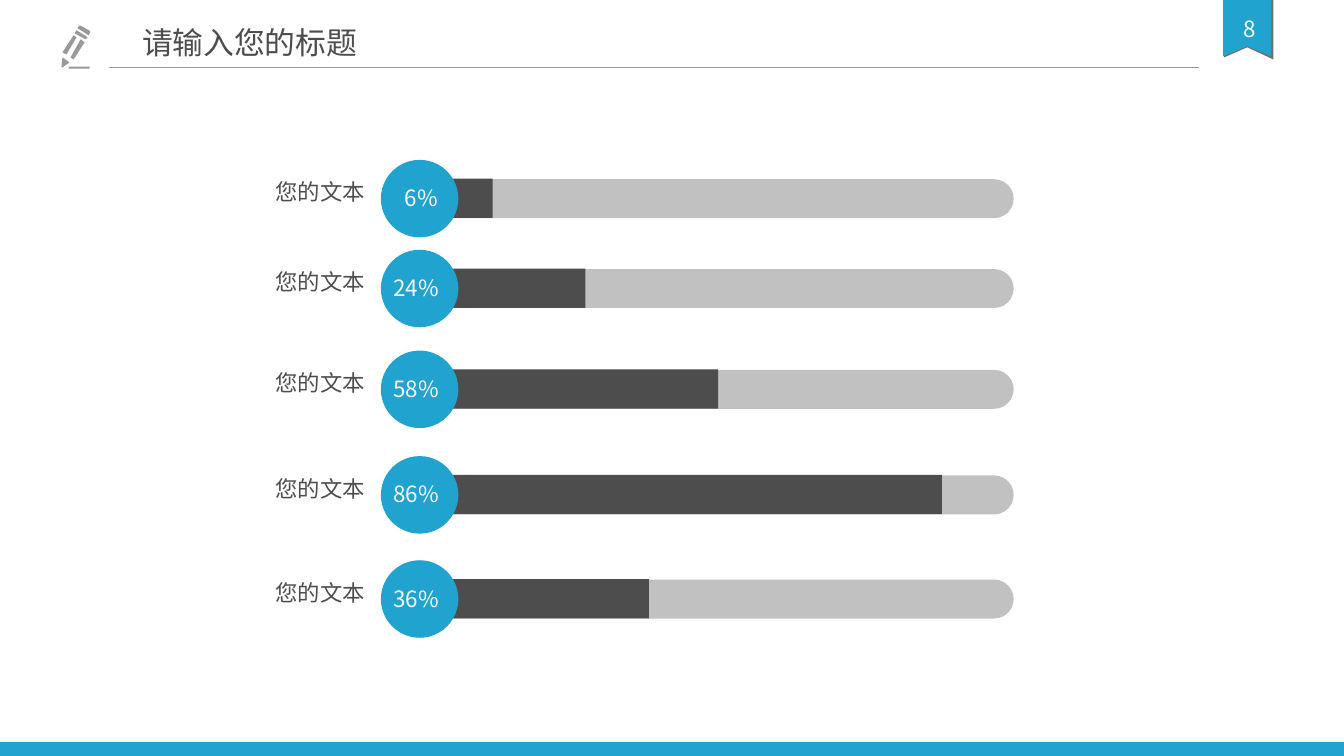
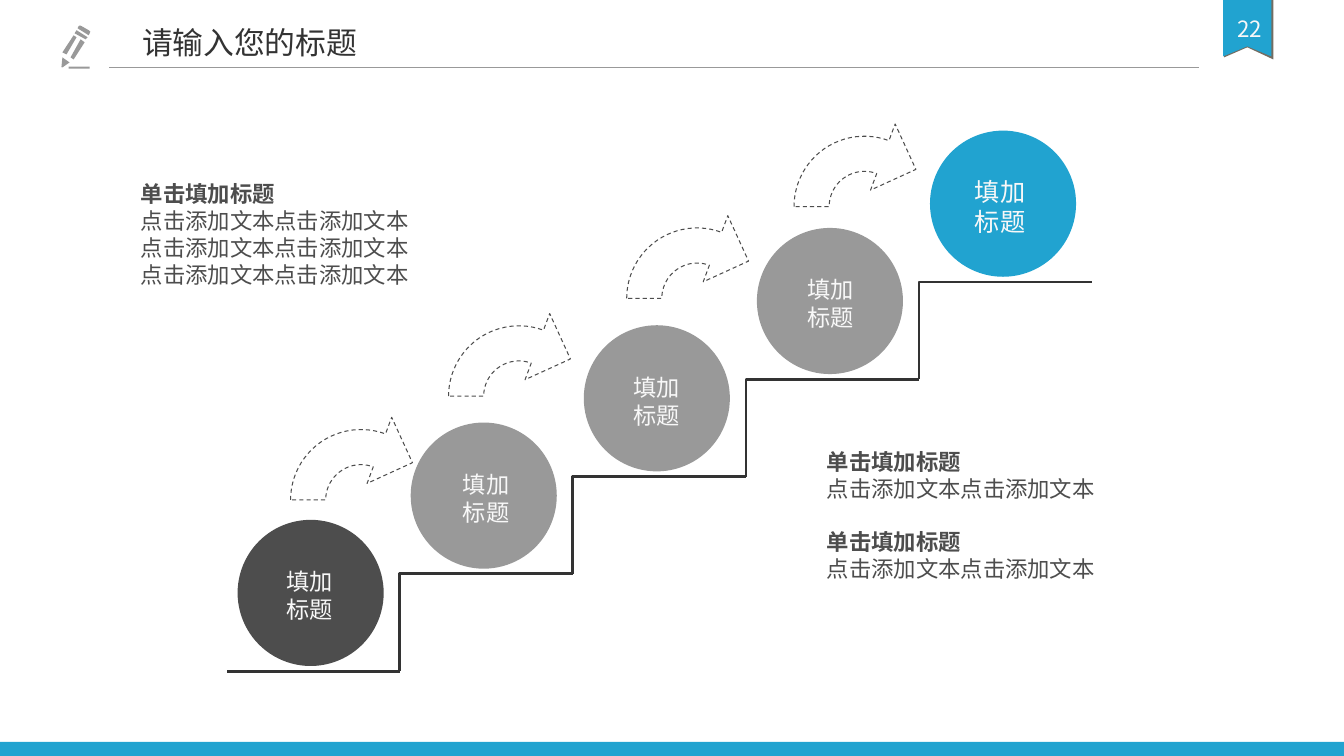
"""Builds a progress-bar slide and a staircase slide with a shared header and footer."""
from math import cos, radians, sin

from lxml.etree import SubElement
from pptx import Presentation
from pptx.dml.color import RGBColor
from pptx.enum.dml import MSO_LINE
from pptx.enum.shapes import MSO_CONNECTOR, MSO_SHAPE as SHAPE
from pptx.enum.text import MSO_ANCHOR as ANCHOR, MSO_AUTO_SIZE, PP_ALIGN as ALIGN
from pptx.oxml.ns import qn
from pptx.util import Pt

BLUE = RGBColor(0x21, 0xA3, 0xD0)
DARK = RGBColor(0x4D, 0x4D, 0x4D)
INK = RGBColor(0x33, 0x33, 0x33)
GRAY = RGBColor(0x99, 0x99, 0x99)
TRACK = RGBColor(0xC2, 0xC1, 0xC1)
FOLD = RGBColor(0x74, 0x6D, 0x62)
PALE = RGBColor(0xF8, 0xF8, 0xF8)
CJK_FONT = "Noto Sans CJK SC"
LATIN_FONT = "Arial"
WIDTH, HEIGHT = 960.5, 540
LINE_PITCH = 1.2

TITLE = "请输入您的标题"
RIBBON_FOLD = [(910.1, 42.5), (891.4, 33.8), (874.8, 41), (874.8, 0), (910.1, 0)]
RIBBON = [(908.6, 40.3), (891.4, 33.1), (874.1, 40.3), (874.1, 0), (908.6, 0)]
PENCIL = [
    [(49, 47.5), (64, 47.5), (64, 49), (49, 49)],
    [(50.4, 41), (57.6, 28.1), (60.5, 30.2), (52.6, 42.5)],
    [(44.6, 37.4), (52.6, 25.2), (54.7, 26.6), (47.5, 38.9)],
    [(43.9, 47.9), (44.6, 41), (49.7, 44.6), (44.6, 48.2)],
    [(54.7, 21.6), (53.3, 23.8), (61.2, 28.1), (62.6, 26.6)],
    [(56.2, 18.7), (57.2, 18.2), (58.3, 18.7), (63.4, 21.6),
     (64.5, 22.7), (64.1, 23.8), (63.4, 25.2), (55.4, 20.2)],
]

BAR_LABEL = "您的文本"
BARS = [
    ("6%", 141.9, 38.2, ALIGN.CENTER),
    ("24%", 206.1, 104.4, ALIGN.LEFT),
    ("58%", 278.1, 199.4, ALIGN.LEFT),
    ("86%", 353.5, 359.3, ALIGN.LEFT),
    ("36%", 427.9, 149.8, ALIGN.LEFT),
]

STEP_LABEL = ["填加", "标题"]
STEPS = [
    (DARK, 16.6, 195.1),
    (GRAY, 16.6, 321.1),
    (GRAY, 16.6, 442.8),
    (GRAY, 16.6, 567.4),
    (BLUE, 18, 688.5),
]
STEP_RUN, STEP_RISE = 123.7, 69.5
STAIR_LEFT, STAIR_BOTTOM = 162, 479.4
JUMPS = [(207.7, 357.1), (320.6, 283), (447.9, 213.1), (567.5, 147.6)]
HEADING = "单击填加标题"
BODY = "点击添加文本点击添加文本"
NOTES = [
    ((93.6, 125.3, 224, 84.2), [(HEADING, True, 0)] + [(BODY, False, 0)] * 3),
    ((583.9, 316.5, 295.2, 103.7), [(HEADING, True, 0), (BODY, False, 0),
                                  (HEADING, True, 19.2), (BODY, False, 0)]),
]


def style(paragraph, size, color, align=ALIGN.LEFT, bold=False, latin=CJK_FONT):
    paragraph.alignment = align
    paragraph.line_spacing = Pt(size * LINE_PITCH)
    font = paragraph.font
    font.size, font.bold, font.name = Pt(size), bold, latin
    font.color.rgb = color
    defaults = paragraph._p.pPr.find(qn("a:defRPr"))
    SubElement(defaults, qn("a:ea"), typeface=CJK_FONT)


def add_frame(slide, box, text):
    frame = slide.shapes.add_textbox(*map(Pt, box)).text_frame
    frame.word_wrap = True
    frame.text = text
    return frame


def add_text(slide, box, text, size, color, align=ALIGN.LEFT):
    style(add_frame(slide, box, text).paragraphs[0], size, color, align)


def paint(shape, fill=None):
    shape.shadow.inherit = False
    if fill is None:
        shape.fill.background()
    else:
        shape.fill.solid()
        shape.fill.fore_color.rgb = fill
    shape.line.fill.background()
    return shape


def add_block(slide, kind, box, fill):
    return paint(slide.shapes.add_shape(kind, *map(Pt, box)), fill)


def add_outline(slide, contours, fill=None, close=True):
    builder = None
    for contour in contours:
        start, *rest = [(Pt(x), Pt(y)) for x, y in contour]
        if builder is None:
            builder = slide.shapes.build_freeform(*start)
        else:
            builder.move_to(*start)
        builder.add_line_segments(rest, close=close)
    return paint(builder.convert_to_shape(), fill)


def draw_line(line, color, width):
    line.color.rgb = color
    line.width = Pt(width)


def add_rule(slide, ends, color, width):
    rule = slide.shapes.add_connector(MSO_CONNECTOR.STRAIGHT, *map(Pt, ends))
    draw_line(rule.line, color, width)
    SubElement(rule._element.spPr, qn("a:effectLst"))


def add_page(deck, number, title_color):
    slide = deck.slides.add_slide(deck.slide_layouts.get_by_name("Title Only"))
    add_outline(slide, [RIBBON_FOLD], FOLD)
    add_outline(slide, [RIBBON], BLUE)
    add_text(slide, (847.9, 7.2, 90.7, 30.2), number, 16, PALE, ALIGN.CENTER)
    add_block(slide, SHAPE.RECTANGLE, (0, 530, WIDTH, 10), BLUE)

    title = slide.shapes.title
    title.left, title.top, title.width, title.height = map(Pt, (94.3, 13.2, 180, 33.8))
    frame = title.text_frame
    frame.text = TITLE
    frame.word_wrap = True
    frame.auto_size = MSO_AUTO_SIZE.NONE
    frame.vertical_anchor = ANCHOR.TOP
    style(frame.paragraphs[0], 22, title_color)

    add_outline(slide, PENCIL, GRAY)
    add_rule(slide, (856.8, 48.5, 77.8, 48.5), GRAY, 0.75)
    return slide


def add_bar(slide, percent, middle, filled, align):
    track = add_block(slide, SHAPE.ROUNDED_RECTANGLE,
                      (301, middle - 13.9, 423.4, 27.8), TRACK)
    track.adjustments[0] = 0.5
    add_block(slide, SHAPE.RECTANGLE, (313.9, middle - 14.2, filled, 28), DARK)
    add_text(slide, (174.2, middle - 18, 93.6, 26.6), BAR_LABEL, 16, DARK, ALIGN.RIGHT)
    add_block(slide, SHAPE.OVAL, (272.2, middle - 27.7, 55.4, 55.4), BLUE)
    add_text(slide, (274, middle - 13.8, 54, 26.6), percent, 16, PALE, align)


def jump_outline(left, base):
    outer, inner, head_out, head_in, reach = 50.3, 25.2, 63, 12.6, 25.2
    end = 69.6
    center = left + outer

    def polar(radius, angle, ahead=0):
        turn = radians(angle)
        return (center + radius * cos(turn) + ahead * sin(turn),
                base - radius * sin(turn) + ahead * cos(turn))

    angles = [180 - (180 - end) * i / 24 for i in range(25)]
    head = [polar(head_out, end), polar((outer + inner) / 2, end, reach),
            polar(head_in, end)]
    return ([polar(outer, a) for a in angles] + head
            + [polar(inner, a) for a in reversed(angles)])


def add_step(slide, index, fill, size, label_left):
    top = 371.3 - index * STEP_RISE
    add_block(slide, SHAPE.OVAL, (169.8 + index * STEP_RUN, top, 104.4, 104.4), fill)
    frame = add_frame(slide, (label_left, top + 29.2, 52.6, 49.7), "\n".join(STEP_LABEL))
    frame.vertical_anchor = ANCHOR.MIDDLE
    for paragraph in frame.paragraphs:
        style(paragraph, size, PALE, ALIGN.CENTER, latin=LATIN_FONT)


def add_note(slide, box, lines):
    frame = add_frame(slide, box, "\n".join(text for text, _, _ in lines))
    for paragraph, (_, bold, gap) in zip(frame.paragraphs, lines):
        if gap:
            paragraph.space_before = Pt(gap)
        style(paragraph, 16, DARK, bold=bold)


def add_stairs(slide):
    for index in range(1, len(STEPS)):
        left = STAIR_LEFT + index * STEP_RUN
        top = STAIR_BOTTOM - index * STEP_RISE
        corner = [(left, top + STEP_RISE), (left, top), (left + STEP_RUN, top)]
        draw_line(add_outline(slide, [corner], close=False).line, INK, 2)
    add_rule(slide, (STAIR_LEFT + STEP_RUN, STAIR_BOTTOM, STAIR_LEFT, STAIR_BOTTOM), INK, 2)


def build_bars(deck):
    slide = add_page(deck, "8", DARK)
    for bar in BARS:
        add_bar(slide, *bar)


def build_stairs(deck):
    slide = add_page(deck, "22", INK)
    for note in NOTES:
        add_note(slide, *note)
    add_stairs(slide)
    for jump in JUMPS:
        arrow = add_outline(slide, [jump_outline(*jump)])
        draw_line(arrow.line, DARK, 0.75)
        arrow.line.dash_style = MSO_LINE.DASH
    for index, step in enumerate(STEPS):
        add_step(slide, index, *step)


def main():
    deck = Presentation()
    deck.slide_width, deck.slide_height = Pt(WIDTH), Pt(HEIGHT)
    build_bars(deck)
    build_stairs(deck)
    deck.save("out.pptx")


if __name__ == "__main__":
    main()
